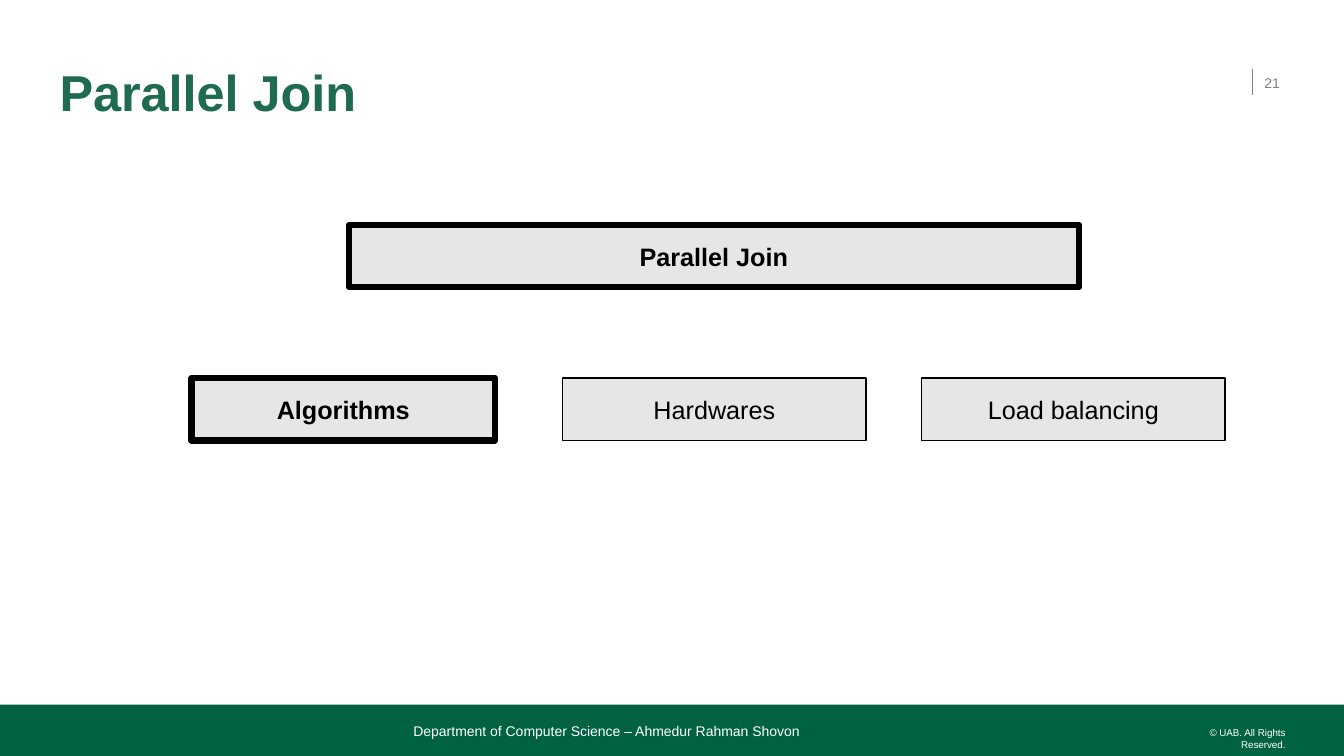
from pptx import Presentation
from pptx.dml.color import RGBColor
from pptx.enum import shapes, text
from pptx.oxml import xmlchemy
from pptx.util import Inches, Pt

GREEN = RGBColor(0x00, 0x62, 0x41)
TITLE_GREEN = RGBColor(0x1E, 0x6B, 0x51)
GRAY = RGBColor(0x80, 0x82, 0x85)
LIGHT_GRAY = RGBColor(0xE7, 0xE6, 0xE6)
BLACK = RGBColor(0, 0, 0)
WHITE = RGBColor(0xFF, 0xFF, 0xFF)

LEFT, CENTER, RIGHT = text.PP_ALIGN.LEFT, text.PP_ALIGN.CENTER, text.PP_ALIGN.RIGHT
TOP, MIDDLE, BOTTOM = text.MSO_ANCHOR.TOP, text.MSO_ANCHOR.MIDDLE, text.MSO_ANCHOR.BOTTOM


def write(shape, wording, size, color, align=LEFT, anchor=MIDDLE, bold=False, inset=0):
    frame = shape.text_frame
    frame_format = {
        "word_wrap": True,
        "auto_size": text.MSO_AUTO_SIZE.NONE,
        "vertical_anchor": anchor,
        "margin_left": Inches(inset),
        "margin_right": Inches(inset),
        "margin_top": Inches(inset / 2),
        "margin_bottom": Inches(inset / 2),
    }
    for name, value in frame_format.items():
        setattr(frame, name, value)
    para = frame.paragraphs[0]
    para.alignment = align
    span = para.add_run()
    span.text = wording
    for name, value in {"name": "Arial", "size": Pt(size), "bold": bold}.items():
        setattr(span.font, name, value)
    span.font.color.rgb = color


def add_label(page, box, wording, size, color, **layout):
    label = page.shapes.add_textbox(*map(Inches, box))
    write(label, wording, size, color, **layout)


def add_rectangle(page, box, fill):
    rectangle = page.shapes.add_shape(shapes.MSO_SHAPE.RECTANGLE, *map(Inches, box))
    rectangle.shadow.inherit = False
    rectangle.fill.solid()
    rectangle.fill.fore_color.rgb = fill
    rectangle.line.fill.background()
    return rectangle


def add_topic(page, box, wording, highlighted):
    topic = add_rectangle(page, box, LIGHT_GRAY)
    topic.line.color.rgb = BLACK
    topic.line.width = Pt(4.5 if highlighted else 1)
    write(topic, wording, 18, BLACK, align=CENTER, bold=highlighted, inset=0.1)


def add_header(page, box, wording, number):
    left, top, width, height = box
    title = page.shapes.title
    title_box = (left, top, 11.63, height)
    for name, value in zip(("left", "top", "width", "height"), title_box):
        setattr(title, name, Inches(value))
    write(title, wording, 36, TITLE_GREEN, bold=True)
    title.text_frame.paragraphs[0].line_spacing = 0.9

    right = left + width
    rule_x = Inches(right - 0.45)
    rule = page.shapes.add_connector(
        shapes.MSO_CONNECTOR.STRAIGHT,
        rule_x, Inches(top + 0.16), rule_x, Inches(top + 0.42))
    rule.line.color.rgb = GRAY
    rule.line.width = Pt(1)
    effects = xmlchemy.OxmlElement("a:effectLst")
    rule._element.spPr.append(effects)
    add_label(page, (right - 0.33, top + 0.1, 0.33, 0.4), number, 10, GRAY)


def add_topic_tree(page, box):
    left, top, width, height = box
    topic_height = 0.62
    add_topic(page, (left + 1.56, top, 7.24, topic_height), "Parallel Join", True)
    branches = (("Algorithms", 0), ("Hardwares", 3.68), ("Load balancing", 7.24))
    for index, (wording, offset) in enumerate(branches):
        branch_box = (left + offset, top + height - topic_height, 3.01, topic_height)
        add_topic(page, branch_box, wording, index == 0)


def add_footer(page, box):
    left, top, width, height = box
    add_rectangle(page, box, GREEN)
    add_label(page, (left + 4.1, top + 0.12, 7.08, 0.23),
              "Department of Computer Science – Ahmedur Rahman Shovon",
              10, WHITE, anchor=BOTTOM)
    add_label(page, (left + width - 1.78, top + 0.22, 1.2, 0.12),
              "© UAB. All Rights Reserved.", 7, WHITE, align=RIGHT, anchor=TOP)


def main():
    deck = Presentation()
    deck.slide_width, deck.slide_height = Inches(13.33), Inches(7.5)
    page = deck.slides.add_slide(deck.slide_layouts[5])
    add_footer(page, (0, 6.99, 13.33, 0.51))
    add_header(page, (0.59, 0.52, 12.28, 0.84), "Parallel Join", "21")
    add_topic_tree(page, (1.9, 2.23, 10.25, 2.14))
    deck.save("out.pptx")


if __name__ == "__main__":
    main()
